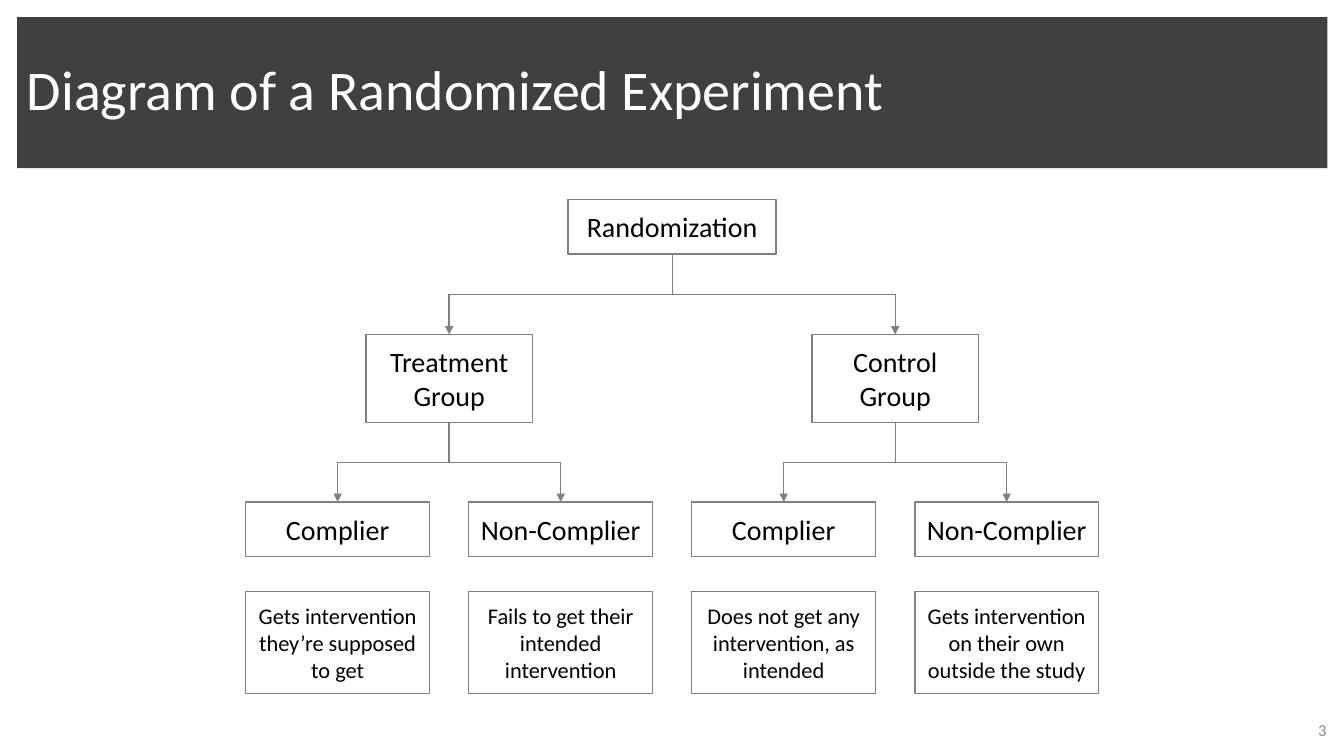
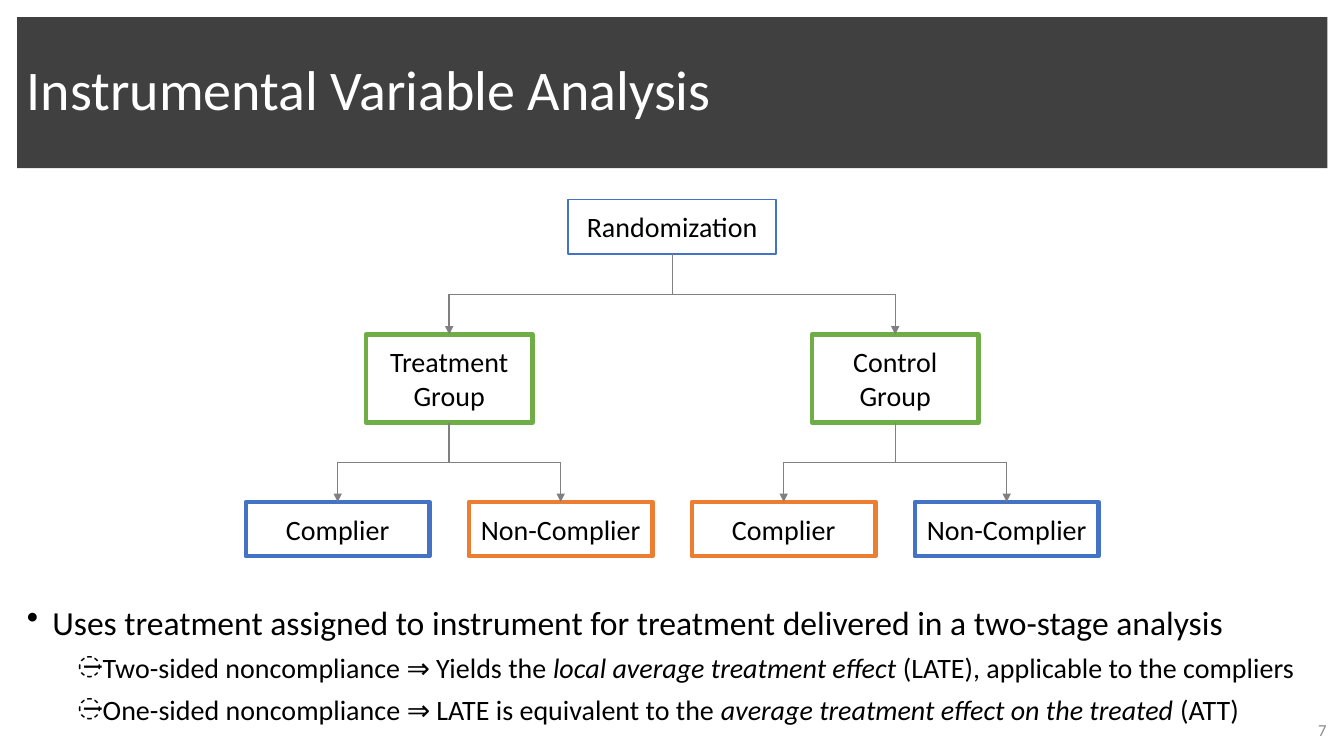
from dataclasses import dataclass
from typing import Any, NamedTuple

from pptx import Presentation
from pptx.dml.color import RGBColor
from pptx.enum.shapes import MSO_CONNECTOR as Connector, MSO_SHAPE as Preset
from pptx.enum.text import MSO_ANCHOR as Anchor, PP_ALIGN as Align
from pptx.oxml.ns import qn
from pptx.util import Cm, Pt
from lxml.etree import SubElement

# Shared colours and type
WHITE = RGBColor(0xFF, 0xFF, 0xFF)
BLACK = RGBColor(0x00, 0x00, 0x00)
BAND = RGBColor(0x40, 0x40, 0x40)
GREY = RGBColor(0x80, 0x80, 0x80)
PAGE_GREY = RGBColor(0x8C, 0x8C, 0x8C)
GREEN = RGBColor(0x70, 0xAD, 0x47)
BLUE = RGBColor(0x44, 0x72, 0xC4)
ORANGE = RGBColor(0xED, 0x7D, 0x31)
FONT = "Calibri"

# Tree geometry in centimetres: leaves are evenly spaced about the centre
CENTRE = 16.94
LEAF_STEP = 5.62
LEAF_CENTRES = [CENTRE + (i - 1.5) * LEAF_STEP for i in range(4)]
GROUP_CENTRES = [CENTRE - LEAF_STEP, CENTRE + LEAF_STEP]

BOX_FRAME = dict(word_wrap=True, vertical_anchor=Anchor.MIDDLE,
                 margin_left=Cm(0.25), margin_right=Cm(0.25),
                 margin_top=Cm(0.25), margin_bottom=Cm(0.25))
BAR_FRAME = dict(word_wrap=True, vertical_anchor=Anchor.MIDDLE)


class Level(NamedTuple):
    """One row of boxes in the tree."""
    top: float
    width: float
    height: float
    size: int = 20


ROOT = Level(5.03, 5.24, 1.37)
GROUP = Level(8.43, 4.2, 2.22)
LEAF = Level(12.65, 4.63, 1.37)
OUTCOME = Level(14.91, 4.63, 2.57, 16)


class Border(NamedTuple):
    colour: RGBColor
    points: float = 1


class Phrase(NamedTuple):
    text: str
    italic: bool = False


@dataclass
class Bullet:
    phrases: list[Phrase]
    symbol: str = "̶"
    size: int = 20
    indent: float = 1.91
    level: int = 1


@dataclass
class TreeStyle:
    root: Border
    groups: list[Border]
    leaves: list[Border]


PLAIN = TreeStyle(Border(GREY), [Border(GREY)] * 2, [Border(GREY)] * 4)
MARKED = TreeStyle(
    Border(BLUE), [Border(GREEN, 3)] * 2,
    [Border(colour, 3) for colour in (BLUE, ORANGE, ORANGE, BLUE)])

OUTCOMES = [
    "Gets intervention they’re supposed to get",
    "Fails to get their intended intervention",
    "Does not get any intervention, as intended",
    "Gets intervention on their own outside the study",
]
FINDINGS = [
    Bullet([Phrase("Uses treatment assigned to instrument for treatment "
                   "delivered in a two-stage analysis")], "•", 24, 0.64, 0),
    Bullet([Phrase("Two-sided noncompliance ⇒ Yields the "),
            Phrase("local average treatment effect ", True),
            Phrase("(LATE), applicable to the compliers")]),
    Bullet([Phrase("One-sided noncompliance ⇒ LATE is equivalent to the "),
            Phrase("average treatment effect on the treated ", True),
            Phrase("(ATT)")]),
]


def apply(target: Any, values: dict[str, Any]) -> None:
    for attribute, value in values.items():
        setattr(target, attribute, value)


def write(paragraph: Any, phrase: Phrase, size: int, colour: RGBColor) -> None:
    run = paragraph.add_run()
    run.text = phrase.text
    apply(run.font, dict(name=FONT, size=Pt(size), italic=phrase.italic))
    run.font.color.rgb = colour


# Title band and page number
def add_frame(slide: Any, title: str, number: str) -> None:
    band = slide.shapes.add_shape(Preset.RECTANGLE, Cm(0.43), Cm(0.43), Cm(33.02), Cm(3.81))
    band.shadow.inherit = False
    band.fill.solid()
    band.fill.fore_color.rgb = BAND
    band.line.fill.background()
    page = slide.shapes.add_textbox(Cm(24.79), Cm(17.88), Cm(8.89), Cm(1.02))
    for holder, text, size, colour, layout in (
            (band, title, 40, WHITE, dict(alignment=Align.LEFT, line_spacing=0.9)),
            (page, number, 12, PAGE_GREY, dict(alignment=Align.RIGHT))):
        apply(holder.text_frame, BAR_FRAME)
        paragraph = holder.text_frame.paragraphs[0]
        apply(paragraph, layout)
        write(paragraph, Phrase(text), size, colour)


# Tree parts
def add_box(slide: Any, level: Level, centre: float, text: str, border: Border) -> Any:
    box = slide.shapes.add_shape(
        Preset.RECTANGLE, Cm(centre - level.width / 2), Cm(level.top),
        Cm(level.width), Cm(level.height))
    box.shadow.inherit = False
    box.fill.background()
    box.line.color.rgb = border.colour
    box.line.width = Pt(border.points)
    apply(box.text_frame, BOX_FRAME)
    paragraph = box.text_frame.paragraphs[0]
    paragraph.alignment = Align.CENTER
    write(paragraph, Phrase(text), level.size, BLACK)
    return box


def add_line(slide: Any, x1: int, y1: int, x2: int, y2: int, arrow: bool = False) -> Any:
    line = slide.shapes.add_connector(Connector.STRAIGHT, x1, y1, x2, y2)
    line.line.color.rgb = GREY
    line.line.width = Pt(1)
    if arrow:
        SubElement(line.line._get_or_add_ln(), qn("a:tailEnd"), type="triangle")
    SubElement(line._element.spPr, qn("a:effectLst"))
    return line


def middle(box: Any) -> int:
    return box.left + box.width // 2


def add_branch(slide: Any, parent: Any, children: list[Any]) -> None:
    """Stem, crossbar and one arrow down to each child."""
    bottom = parent.top + parent.height
    bar = (bottom + children[0].top) // 2
    stem = add_line(slide, middle(parent), bottom, middle(parent), bar)
    stem.begin_connect(parent, 2)
    add_line(slide, middle(children[0]), bar, middle(children[-1]), bar)
    for child in children:
        drop = add_line(slide, middle(child), bar, middle(child), child.top, arrow=True)
        drop.end_connect(child, 0)


def add_tree(slide: Any, style: TreeStyle) -> None:
    root = add_box(slide, ROOT, CENTRE, "Randomization", style.root)
    groups = [add_box(slide, GROUP, *part) for part in
              zip(GROUP_CENTRES, ("Treatment Group", "Control Group"), style.groups)]
    leaves = [add_box(slide, LEAF, *part) for part in
              zip(LEAF_CENTRES, ("Complier", "Non-Complier") * 2, style.leaves)]
    add_branch(slide, root, groups)
    for i, group in enumerate(groups):
        add_branch(slide, group, leaves[2 * i:2 * i + 2])


# Bulleted findings
def add_findings(slide: Any, bullets: list[Bullet]) -> None:
    frame = slide.shapes.add_textbox(Cm(0.43), Cm(15.04), Cm(33.02), Cm(3.61)).text_frame
    frame.word_wrap = True
    for i, bullet in enumerate(bullets):
        paragraph = frame.add_paragraph() if i else frame.paragraphs[0]
        apply(paragraph, dict(level=bullet.level, space_before=Pt(6)))
        properties = paragraph._p.get_or_add_pPr()
        properties.set("marL", str(Cm(bullet.indent)))
        properties.set("indent", str(Cm(-0.64)))
        SubElement(properties, qn("a:buChar"), char=bullet.symbol)
        for phrase in bullet.phrases:
            write(paragraph, phrase, bullet.size, BLACK)


def main() -> None:
    deck = Presentation()
    apply(deck, dict(slide_width=Cm(33.87), slide_height=Cm(19.05)))
    blank = deck.slide_layouts[6]

    # Slide: experiment diagram
    experiment = deck.slides.add_slide(blank)
    add_frame(experiment, "Diagram of a Randomized Experiment", "3")
    add_tree(experiment, PLAIN)
    for centre, outcome in zip(LEAF_CENTRES, OUTCOMES):
        add_box(experiment, OUTCOME, centre, outcome, Border(GREY))

    # Slide: instrumental variable
    analysis = deck.slides.add_slide(blank)
    add_frame(analysis, "Instrumental Variable Analysis", "7")
    add_tree(analysis, MARKED)
    add_findings(analysis, FINDINGS)

    deck.save("out.pptx")


if __name__ == "__main__":
    main()
